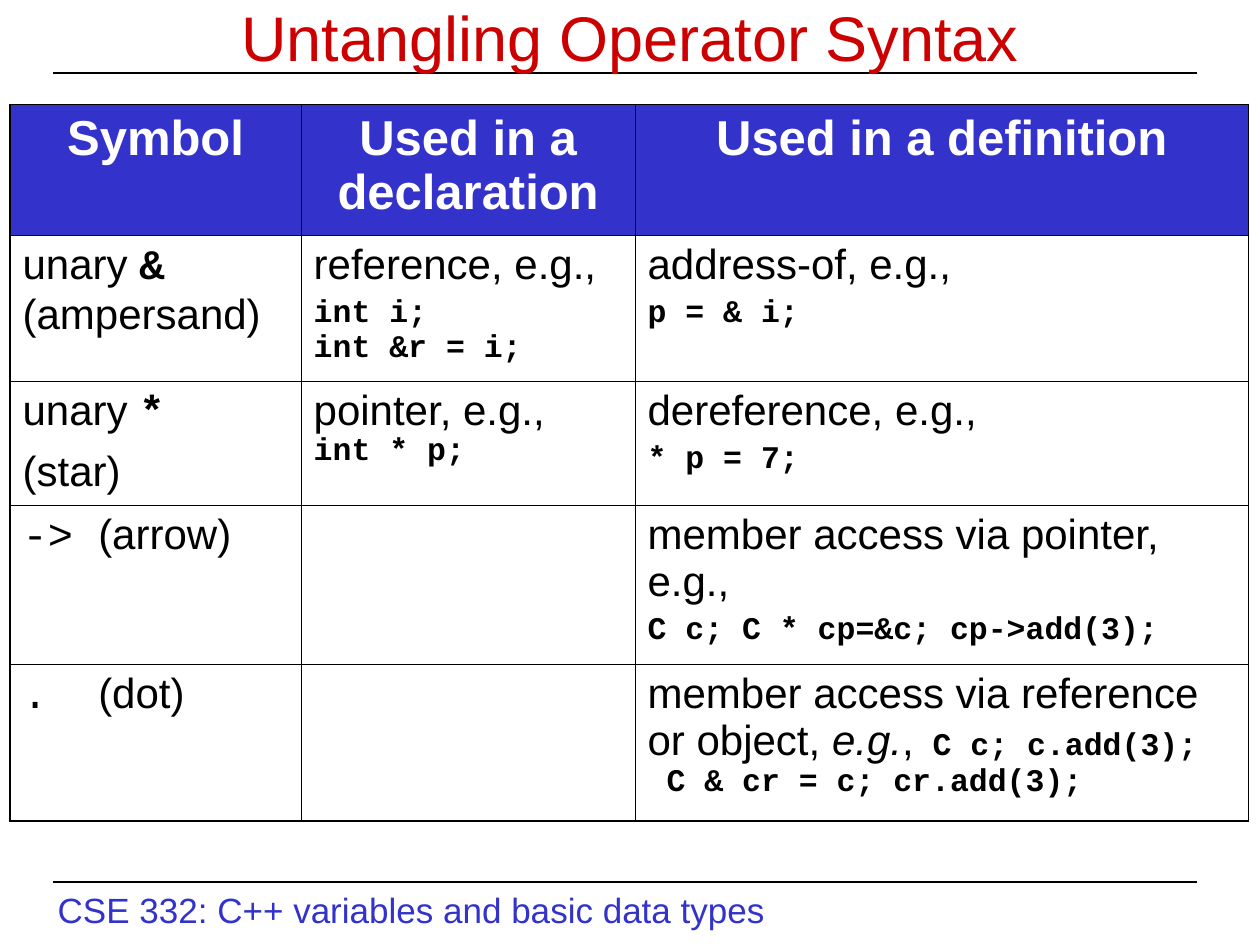
from lxml import etree
from pptx import Presentation
from pptx.dml.color import RGBColor
from pptx.enum.shapes import MSO_CONNECTOR
from pptx.enum.text import MSO_ANCHOR, PP_ALIGN
from pptx.oxml.ns import qn
from pptx.util import Inches, Pt

LINE = MSO_CONNECTOR.STRAIGHT
MIDDLE, TOP = MSO_ANCHOR.MIDDLE, MSO_ANCHOR.TOP
CENTER, LEFT = PP_ALIGN.CENTER, PP_ALIGN.LEFT
COLORS = {"red": "CC0000", "blue": "3333CC", "white": "FFFFFF", "black": "000000"}
SANS, MONO = "Arial", "Courier New"
FONTS = {
    "title": (SANS, 36, False, False, "red"),
    "foot": (SANS, 20, False, False, "blue"),
    "head": (SANS, 28, True, False, "white"),
    "text": (SANS, 24, False, False, "black"),
    "slant": (SANS, 24, False, True, "black"),
    "sign": (MONO, 24, True, False, "black"),
    "mark": (MONO, 24, False, False, "black"),
    "code": (MONO, 18, True, False, "black"),
}
COLS = [2.31, 2.65, 4.87]
ROWS = [1.03, 1.16, 0.98, 1.26, 1.24]
THICK, THIN = 1.08, 0.45


def text(words):
    return 6, [("text", words)]


def code(words):
    return 4.5, [("code", words)]


def head(words):
    return [(7, [("head", words)])]


CELLS = [
    [head("Symbol"), head("Used in a declaration"), head("Used in a definition")],
    [
        [(6, [("text", "unary "), ("sign", "&"), ("text", " (ampersand)")])],
        [text("reference, e.g.,"), code("int i;\nint &r = i;")],
        [text("address-of, e.g.,"), code("p = & i;")],
    ],
    [
        [(6, [("text", "unary "), ("sign", "*")]), text("(star)")],
        [(4.5, [("text", "pointer, e.g.,\n"), ("code", "int * p;")])],
        [text("dereference, e.g.,"), code("* p = 7;")],
    ],
    [
        [(6, [("mark", "-> "), ("text", "(arrow)")])],
        [],
        [text("member access via pointer, e.g.,"), code("C c; C * cp=&c; cp->add(3);")],
    ],
    [
        [(6, [("mark", ".\t"), ("text", "(dot)")])],
        [],
        [(4.5, [("text", "member access via reference or object, "), ("slant", "e.g."),
                ("text", ","), ("code", " C c; c.add(3);\n C & cr = c; cr.add(3);")])],
    ],
]


class Deck:
    """Holds the style and the current slide."""

    def __init__(self):
        self.prs = Presentation()
        self.prs.slide_width, self.prs.slide_height = Inches(10), Inches(7.5)
        self.slide = self.prs.slides.add_slide(self.prs.slide_layouts[6])

    def color(self, name):
        return RGBColor.from_string(COLORS[name])

    def run(self, para, style, words):
        face, size, bold, slant, color = FONTS[style]
        for num, part in enumerate(words.split("\n")):
            if num:
                para.add_line_break()
            if part:
                run = para.add_run()
                run.text = part
                font = run.font
                font.name, font.size = face, Pt(size)
                font.bold, font.italic = bold, slant
                font.color.rgb = self.color(color)

    def tab(self, para, stop):
        tabs = etree.SubElement(para._p.get_or_add_pPr(), qn("a:tabLst"))
        etree.SubElement(tabs, qn("a:tab"), pos=str(Inches(stop)), algn="l")

    def label(self, box, style, words, align, anchor):
        frame = self.slide.shapes.add_textbox(*map(Inches, box)).text_frame
        frame.word_wrap, frame.vertical_anchor = True, anchor
        para = frame.paragraphs[0]
        para.alignment = align
        self.run(para, style, words)

    def rule(self, left, right, top):
        line = self.slide.shapes.add_connector(
            LINE, Inches(left), Inches(top), Inches(right), Inches(top))
        line.line.color.rgb = self.color("black")
        line.line.width = Pt(0.75)
        etree.SubElement(line._element.spPr, qn("a:effectLst"))

    def border(self, cell, sides):
        for side, width in sides.items():
            line = etree.SubElement(
                cell._tc.get_or_add_tcPr(), qn("a:ln" + side), w=str(Pt(width)))
            fill = etree.SubElement(line, qn("a:solidFill"))
            etree.SubElement(fill, qn("a:srgbClr"), val=COLORS["black"])

    def cell(self, cell, paras):
        frame = cell.text_frame
        for num, (space, runs) in enumerate(paras):
            para = frame.add_paragraph() if num else frame.paragraphs[0]
            para.space_before = Pt(space)
            para.alignment = CENTER if runs[0][0] == "head" else LEFT
            if any("\t" in words for _, words in runs):
                self.tab(para, 0.6)
            for style, words in runs:
                self.run(para, style, words)

    def table(self, left, top, cols, rows, cells):
        grid = self.slide.shapes.add_table(
            len(rows), len(cols), Inches(left), Inches(top),
            Inches(sum(cols)), Inches(sum(rows))).table
        grid.first_row = grid.horz_banding = False
        for col, width in zip(grid.columns, cols):
            col.width = Inches(width)
        for row, height in zip(grid.rows, rows):
            row.height = Inches(height)
        for r, line in enumerate(cells):
            for c, paras in enumerate(line):
                cell = grid.cell(r, c)
                edges = {"L": c == 0, "R": c == len(cols) - 1,
                         "T": r == 0, "B": r == len(rows) - 1}
                self.border(cell, {s: THICK if e else THIN for s, e in edges.items()})
                if r:
                    cell.fill.background()
                else:
                    cell.fill.solid()
                    cell.fill.fore_color.rgb = self.color("blue")
                self.cell(cell, paras)


def main():
    deck = Deck()
    deck.label((0.36, 7, 6, 0.44), "foot",
               "CSE 332: C++ variables and basic data types", LEFT, TOP)
    for top in (7, 0.58):
        deck.rule(0.42, 9.5, top)
    deck.label((0.75, 0, 8.5, 0.58), "title",
               "Untangling Operator Syntax", CENTER, MIDDLE)
    deck.table(0.08, 0.83, COLS, ROWS, CELLS)
    deck.prs.save("out.pptx")


if __name__ == "__main__":
    main()
